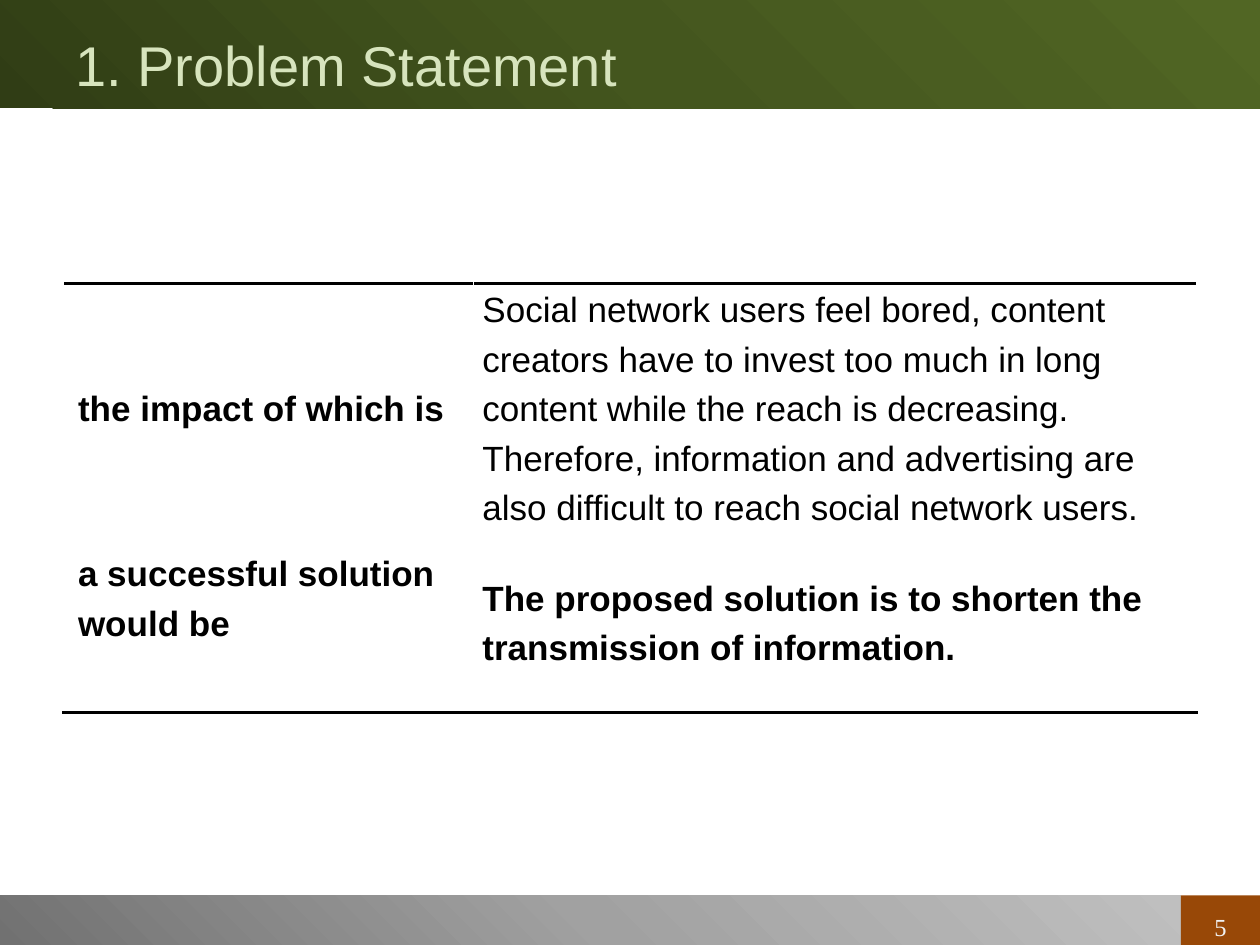
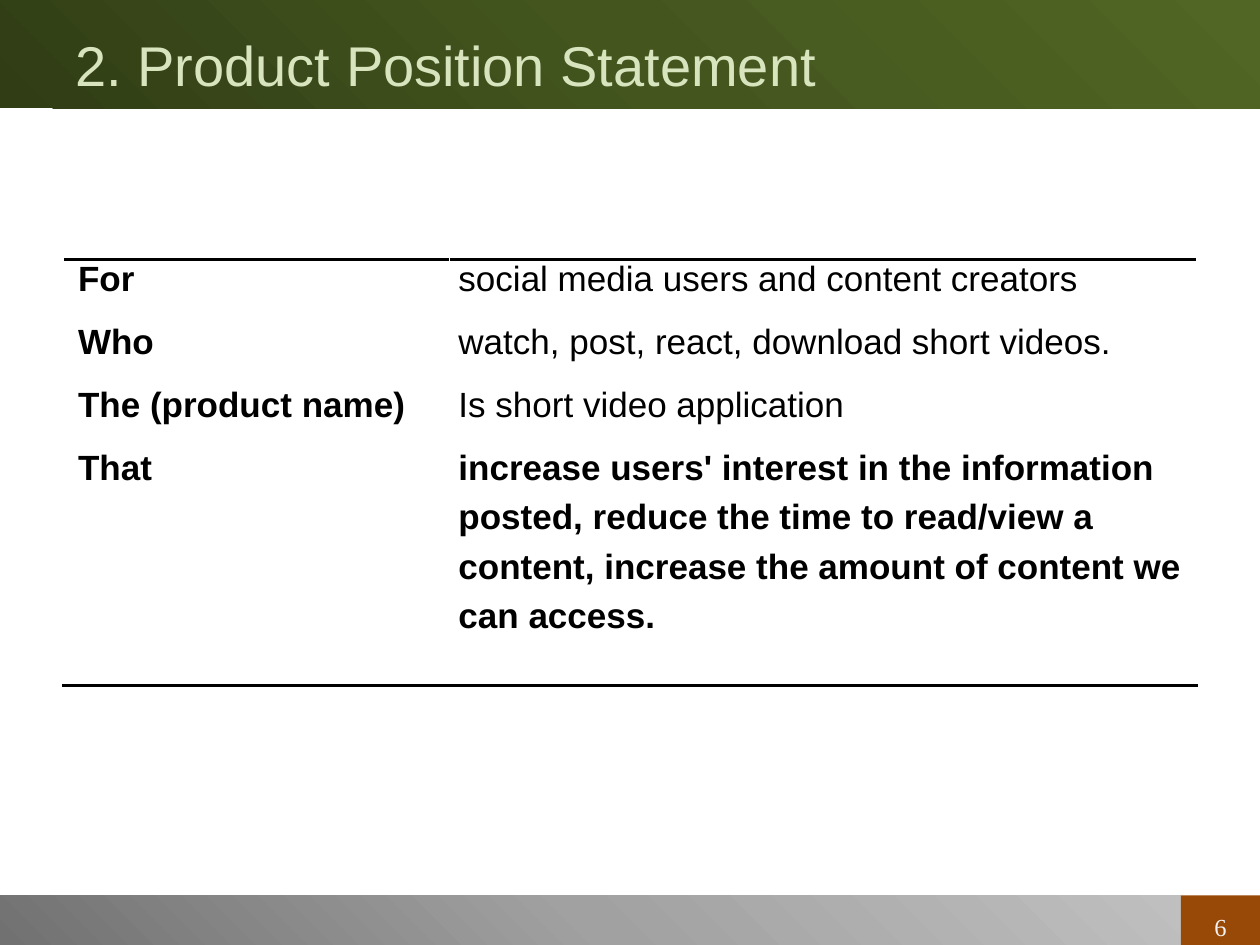
from dataclasses import dataclass
from itertools import product

from copy import deepcopy
from lxml import etree
from pptx import Presentation
from pptx.dml.color import RGBColor
from pptx.enum.shapes import MSO_SHAPE
from pptx.enum.text import MSO_ANCHOR, PP_ALIGN
from pptx.oxml.ns import qn
from pptx.slide import Slide
from pptx.table import _Cell
from pptx.util import Pt

RECTANGLE = MSO_SHAPE.RECTANGLE
TOP, MIDDLE = MSO_ANCHOR.TOP, MSO_ANCHOR.MIDDLE
LEFT, CENTER = PP_ALIGN.LEFT, PP_ALIGN.CENTER

SLIDE_WIDTH, SLIDE_HEIGHT = 720, 540
HEADER_HEIGHT = 62
FOOTER_TOP = 511.7
NUMBER_LEFT = 674.8
TABLE_LEFT, TABLE_WIDTH = 36, 648
CELL_MARGIN, LABEL_INDENT = 5, 3.6
RULE_WIDTH = 2

BLACK, WHITE = "000000", "FFFFFF"
TITLE_COLOR, NUMBER_COLOR, NUMBER_FILL = "D7E4BD", "F2F2F2", "984807"
GREENS = ("303D15", "44561E", "516624")
GREYS = ("717171", "A1A1A1", "BFBFBF")


@dataclass(frozen=True)
class TextStyle:
    font: str
    size: float
    color: str
    bold: bool = False
    align: PP_ALIGN = LEFT
    space_after: float = 0


TITLE = TextStyle("Arial", 32, TITLE_COLOR)
NUMBER = TextStyle("Times New Roman", 14, NUMBER_COLOR, align=CENTER)
PLAIN = TextStyle("Arial", 20, BLACK, space_after=6)
BOLD = TextStyle("Arial", 20, BLACK, bold=True, space_after=6)


@dataclass(frozen=True)
class Row:
    label: str
    statement: str
    height: float
    style: TextStyle = PLAIN
    label_bottom: float = 0


@dataclass(frozen=True)
class StatementSlide:
    number: int
    title: str
    table_top: float
    label_width: float
    anchor: MSO_ANCHOR
    rows: tuple[Row, ...]


SLIDES = (
    StatementSlide(5, "1. Problem Statement", 162, 234.7, MIDDLE, (
        Row("the impact of which is",
            "Social network users feel bored, content\n"
            "creators have to invest too much in long\n"
            "content while the reach is decreasing.\n"
            "Therefore, information and advertising are\n"
            "also difficult to reach social network users.", 115.2),
        Row("a successful solution\nwould be",
            "The proposed solution is to shorten the\n"
            "transmission of information.", 100.8, BOLD, label_bottom=28.3),
    )),
    StatementSlide(6, "2. Product Position Statement", 148.3, 221, TOP, (
        Row("For", "social media users and content creators", 36),
        Row("Who", "watch, post, react, download short videos.", 36),
        Row("The (product name)", "Is short video application", 36),
        Row("That",
            "increase users' interest in the information\n"
            "posted, reduce the time to read/view a\n"
            "content, increase the amount of content we\n"
            "can access.", 135.4, BOLD),
    )),
)


def rgb(color: str) -> RGBColor:
    return RGBColor.from_string(color)


def write_text(text_frame, text: str, style: TextStyle) -> None:
    text_frame.text = text
    for paragraph in text_frame.paragraphs:
        paragraph.alignment = style.align
        paragraph.space_after = Pt(style.space_after)
        for run in paragraph.runs:
            run.font.name = style.font
            run.font.size = Pt(style.size)
            run.font.bold = style.bold
            run.font.color.rgb = rgb(style.color)


def add_text(slide: Slide, left: float, top: float, width: float, height: float,
             text: str, style: TextStyle, anchor: MSO_ANCHOR = TOP) -> None:
    shape = slide.shapes.add_textbox(Pt(left), Pt(top), Pt(width), Pt(height))
    shape.text_frame.word_wrap = True
    shape.text_frame.vertical_anchor = anchor
    write_text(shape.text_frame, text, style)


def add_band(slide: Slide, left: float, top: float, width: float, height: float,
             colors: tuple[str, ...]) -> None:
    """Draw a borderless rectangle, with a diagonal gradient for three colours."""
    shape = slide.shapes.add_shape(RECTANGLE, Pt(left), Pt(top), Pt(width), Pt(height))
    shape.shadow.inherit = False
    shape.line.fill.background()
    if len(colors) == 1:
        shape.fill.solid()
        shape.fill.fore_color.rgb = rgb(colors[0])
        return
    shape.fill.gradient()
    shape.fill.gradient_angle = 45
    stop_list = shape._element.spPr.find(f".//{qn('a:gsLst')}")
    stop_list.insert(1, deepcopy(stop_list[0]))
    for index, (stop, color) in enumerate(zip(shape.fill.gradient_stops, colors)):
        stop.color.rgb = rgb(color)
        stop.position = index / (len(colors) - 1)


def add_rule(cell: _Cell, side: str) -> None:
    """Draw a black border on the cell's side: lnT for top, lnB for bottom."""
    line = etree.Element(qn(f"a:{side}"), w=str(Pt(RULE_WIDTH)))
    fill = etree.SubElement(line, qn("a:solidFill"))
    etree.SubElement(fill, qn("a:srgbClr"), val=BLACK)
    cell._tc.get_or_add_tcPr().insert(0, line)


def add_statement_table(slide: Slide, content: StatementSlide) -> None:
    rows = content.rows
    frame = slide.shapes.add_table(
        len(rows), 2, Pt(TABLE_LEFT), Pt(content.table_top),
        Pt(TABLE_WIDTH), Pt(sum(row.height for row in rows)))
    table = frame.table
    table.first_row = table.horz_banding = False
    table.columns[0].width = Pt(content.label_width)
    table.columns[1].width = Pt(TABLE_WIDTH - content.label_width)
    for index, row in enumerate(rows):
        table.rows[index].height = Pt(row.height)
    for (index, row), column in product(enumerate(rows), range(2)):
        is_label = column == 0
        cell = table.cell(index, column)
        cell.fill.solid()
        cell.fill.fore_color.rgb = rgb(WHITE)
        cell.vertical_anchor = content.anchor
        cell.margin_left = Pt(CELL_MARGIN + (LABEL_INDENT if is_label else 0))
        cell.margin_right = Pt(CELL_MARGIN)
        cell.margin_top = Pt(0)
        cell.margin_bottom = Pt(row.label_bottom if is_label else 0)
        if is_label:
            write_text(cell.text_frame, row.label, BOLD)
        else:
            write_text(cell.text_frame, row.statement, row.style)
        if index == 0:
            add_rule(cell, "lnT")
        if index == len(rows) - 1:
            add_rule(cell, "lnB")


def add_slide(presentation, content: StatementSlide) -> None:
    slide = presentation.slides.add_slide(presentation.slide_layouts[6])
    footer_height = SLIDE_HEIGHT - FOOTER_TOP
    number_width = SLIDE_WIDTH - NUMBER_LEFT
    add_band(slide, 0, FOOTER_TOP, NUMBER_LEFT, footer_height, GREYS)
    add_band(slide, 0, 0, SLIDE_WIDTH, HEADER_HEIGHT, GREENS)
    add_band(slide, NUMBER_LEFT, FOOTER_TOP, number_width, footer_height, (NUMBER_FILL,))
    add_text(slide, NUMBER_LEFT, 517.7, number_width, 22.3, str(content.number), NUMBER)
    add_text(slide, TABLE_LEFT, 11.5, TABLE_WIDTH, 50.4, content.title, TITLE, MIDDLE)
    add_statement_table(slide, content)


def main() -> None:
    presentation = Presentation()
    presentation.slide_width = Pt(SLIDE_WIDTH)
    presentation.slide_height = Pt(SLIDE_HEIGHT)
    for content in SLIDES:
        add_slide(presentation, content)
    presentation.save("out.pptx")


if __name__ == "__main__":
    main()
